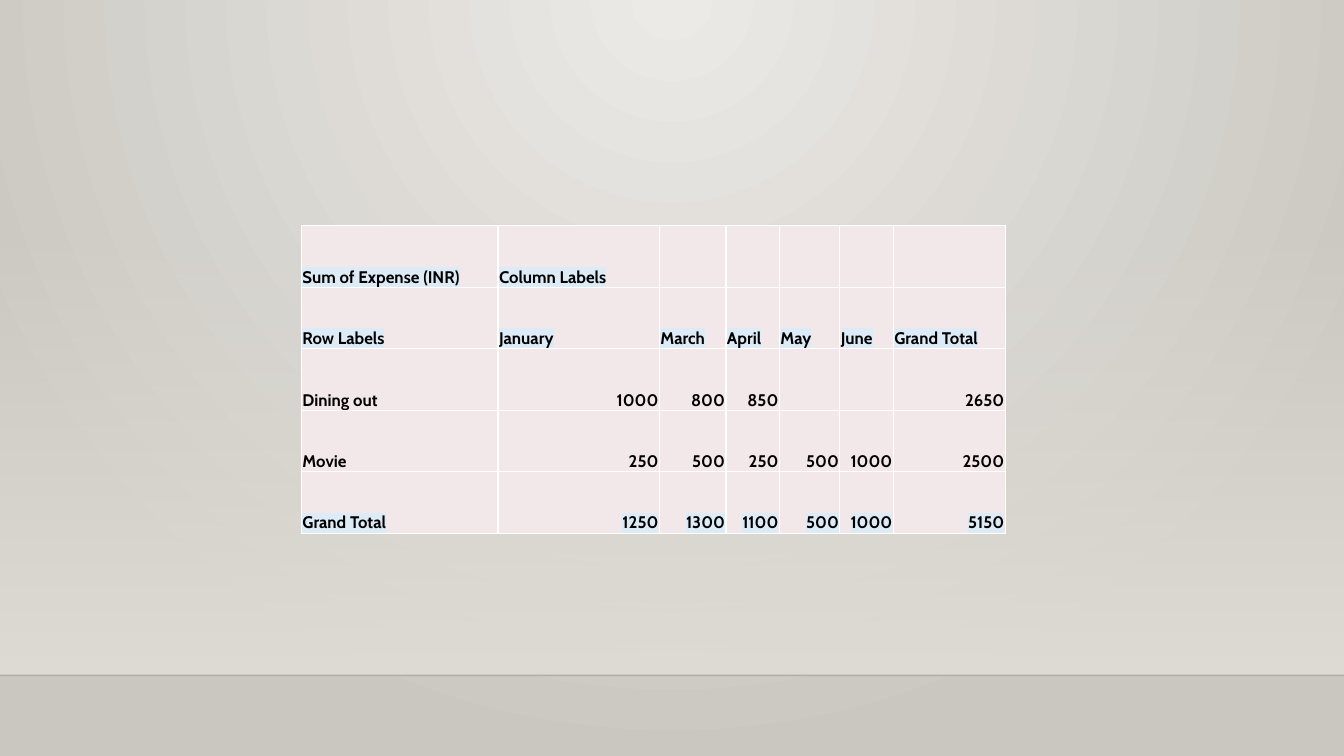
from lxml.etree import SubElement
from pptx import Presentation
from pptx.dml.color import RGBColor
from pptx.enum.shapes import MSO_CONNECTOR, MSO_SHAPE
from pptx.enum.text import MSO_ANCHOR, PP_ALIGN
from pptx.oxml import parse_xml
from pptx.oxml.ns import nsdecls, qn
from pptx.util import Inches, Pt

BACKDROP_LIGHT = RGBColor(0xEC, 0xEA, 0xE7)
BACKDROP_DARK = RGBColor(0xCA, 0xC7, 0xC1)
WALL = RGBColor(0xDF, 0xDB, 0xD5)
FLOOR_EDGE = RGBColor(0x00, 0x00, 0x01)
CELL_FILL = RGBColor(0xF3, 0xE8, 0xE9)
CELL_BORDER = RGBColor(0xFF, 0xFF, 0xFF)
HIGHLIGHT = RGBColor(0xDD, 0xEB, 0xF7)
TEXT = RGBColor(0x00, 0x00, 0x00)

COLUMN_WIDTHS = [1.95, 1.6, 0.66, 0.53, 0.6, 0.53, 1.11]
ROW_HEIGHT = 0.61
HIGHLIGHTED_ROWS = {0, 1, 4}
EXPENSES = [
    ["Sum of Expense (INR)", "Column Labels", "", "", "", "", ""],
    ["Row Labels", "January", "March", "April", "May", "June", "Grand Total"],
    ["Dining out", "1000", "800", "850", "", "", "2650"],
    ["Movie", "250", "500", "250", "500", "1000", "2500"],
    ["Grand Total", "1250", "1300", "1100", "500", "1000", "5150"],
]


def set_gradient(fill, start, end):
    """Fill with a gradient between two colours."""
    fill.gradient()
    for stop, color in zip(fill.gradient_stops, (start, end)):
        stop.color.rgb = color


def set_alpha(color_element, percent):
    """Make a colour element partly transparent."""
    SubElement(color_element, qn("a:alpha"), val=str(percent * 1000))


def paint_background(slide):
    """Give the slide a circular glow centred on its top edge."""
    set_gradient(slide.background.fill, BACKDROP_LIGHT, BACKDROP_DARK)
    linear = next(slide.element.iter(qn("a:lin")))
    circle = parse_xml(
        f'<a:path {nsdecls("a")} path="circle">'
        '<a:fillToRect l="43000" t="0" r="43000" b="100000"/></a:path>'
    )
    linear.getparent().replace(linear, circle)


def add_wall(slide, left, top, width, height):
    """Add the fading wall and the line where it meets the floor."""
    wall = slide.shapes.add_shape(
        MSO_SHAPE.RECTANGLE, Inches(left), Inches(top), Inches(width), Inches(height)
    )
    wall.shadow.inherit = False
    wall.line.fill.background()
    set_gradient(wall.fill, WALL, WALL)
    wall.fill.gradient_angle = 270
    set_alpha(next(wall.element.spPr.iter(qn("a:srgbClr"))), 0)

    bottom = Inches(top + height)
    edge = slide.shapes.add_connector(
        MSO_CONNECTOR.STRAIGHT, Inches(left), bottom, Inches(left + width), bottom
    )
    edge.line.color.rgb = FLOOR_EDGE
    edge.line.width = Pt(1)
    properties = edge.element.spPr
    set_alpha(next(properties.iter(qn("a:srgbClr"))), 20)
    SubElement(properties, qn("a:effectLst"))


def style_cell(cell):
    """Set the fill, borders, insets and anchor of a cell."""
    cell.fill.solid()
    cell.fill.fore_color.rgb = CELL_FILL
    cell.vertical_anchor = MSO_ANCHOR.BOTTOM
    cell.margin_left = cell.margin_top = cell.margin_right = Inches(0.01)
    cell.margin_bottom = 0
    properties = cell._tc.get_or_add_tcPr()
    for position, side in enumerate(("lnL", "lnR", "lnT", "lnB")):
        border = parse_xml(
            f'<a:{side} {nsdecls("a")} w="{Pt(1)}"><a:solidFill>'
            f'<a:srgbClr val="{CELL_BORDER}"/></a:solidFill></a:{side}>'
        )
        properties.insert(position, border)


def write_cell(cell, text, highlighted):
    """Write bold text in a cell, with numbers to the right."""
    paragraph = cell.text_frame.paragraphs[0]
    paragraph.alignment = PP_ALIGN.RIGHT if text.isdigit() else PP_ALIGN.LEFT
    paragraph.font.name = "Cabin"
    paragraph.font.size = Pt(12)
    paragraph.font.bold = True
    paragraph.font.color.rgb = TEXT
    run = paragraph.add_run()
    run.text = text
    if highlighted:
        highlight = SubElement(run._r.get_or_add_rPr(), qn("a:highlight"))
        SubElement(highlight, qn("a:srgbClr"), val=str(HIGHLIGHT))


def add_expense_table(slide, left, top):
    """Add the expense summary with its top left corner at the given place."""
    table = slide.shapes.add_table(
        len(EXPENSES), len(COLUMN_WIDTHS), Inches(left), Inches(top),
        Inches(sum(COLUMN_WIDTHS)), Inches(ROW_HEIGHT * len(EXPENSES)),
    ).table
    table.first_row = table.horz_banding = False
    for column, width in zip(table.columns, COLUMN_WIDTHS):
        column.width = Inches(width)
    for row_index, values in enumerate(EXPENSES):
        table.rows[row_index].height = Inches(ROW_HEIGHT)
        for column_index, text in enumerate(values):
            cell = table.cell(row_index, column_index)
            style_cell(cell)
            if text:
                write_cell(cell, text, row_index in HIGHLIGHTED_ROWS)


def main():
    """Build and save the presentation."""
    presentation = Presentation()
    presentation.slide_width = Inches(13.33)
    presentation.slide_height = Inches(7.5)
    slide = presentation.slides.add_slide(presentation.slide_layouts[6])
    paint_background(slide)
    add_wall(slide, 0, 2.21, 13.33, 4.49)
    add_expense_table(slide, 2.99, 2.24)
    presentation.save("out.pptx")


if __name__ == "__main__":
    main()
